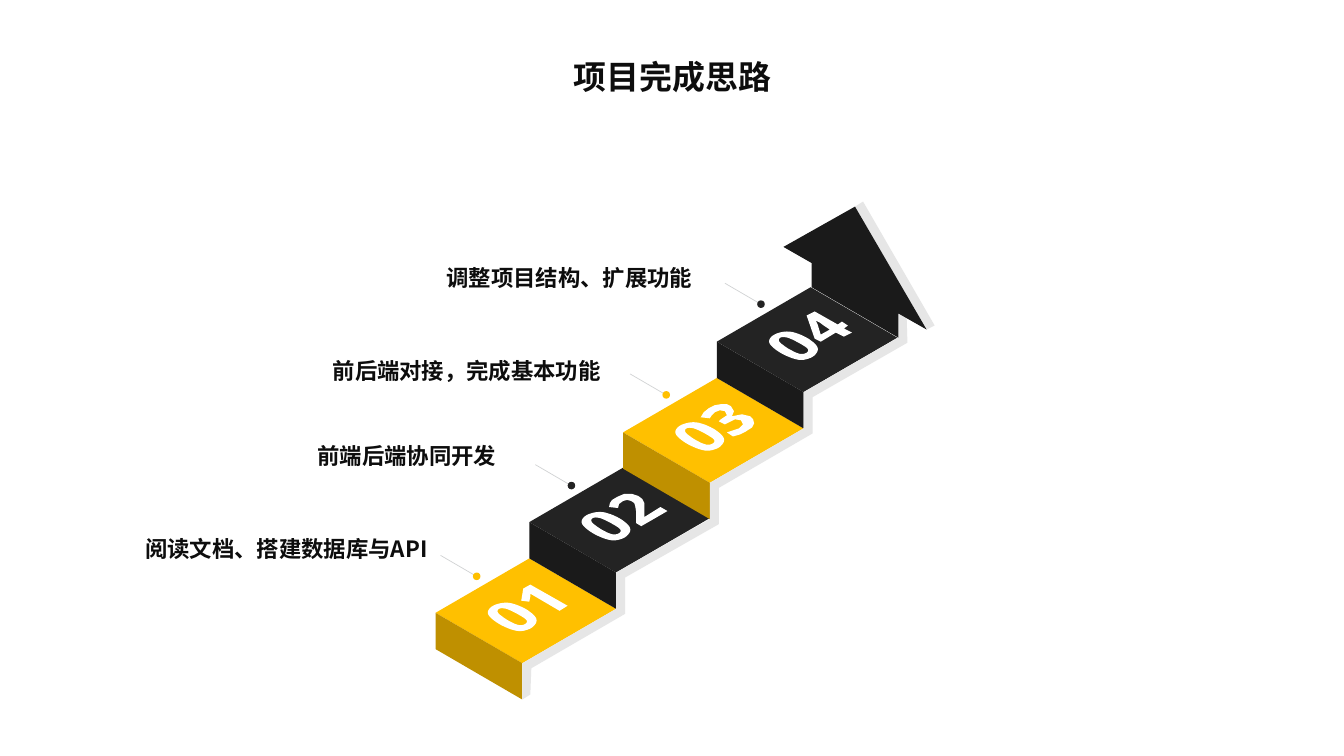
import pptx
import pptx.util
import pptx.dml.color
import pptx.enum.shapes
import pptx.enum.text
import pptx.oxml.ns
import lxml.etree

# Grid: square cells of 0.01 inch, 1333 columns by 750 rows
CELL = pptx.util.Inches(0.01)
COLS, ROWS = 1333, 750
FINE = 10  # outline units per cell

RGB = pptx.dml.color.RGBColor
INK = RGB(0x0D, 0x0D, 0x0D)
GOLD = RGB(0xFF, 0xC0, 0x00)
BRONZE = RGB(0xBF, 0x90, 0x00)
BLACK = RGB(0x23, 0x23, 0x23)
COAL = RGB(0x1A, 0x1A, 0x1A)
SHADE = RGB(0xE6, 0xE6, 0xE6)
RULE = RGB(0xD1, 0xD3, 0xD4)
WHITE = RGB(0xFF, 0xFF, 0xFF)
FONT = "Noto Sans CJK SC"

# Step faces, relative to the left corner of a step
TOP = [(0, 0), (93, -54), (179, -4), (86, 50)]
FRONT = [(0, 0), (86, 50), (86, 86), (0, 36)]
HEAD = [(919, 327), (848, 205), (777, 245), (805, 261), (805, 285),
        (891, 335), (891, 311)]
HEAD_SHADE = [(856, 200), (848, 205), (919, 327), (927, 323)]

# Slanted digits, relative to the corner of the zero
ZERO = [
    [(49, 17), (44, 26), (30, 29), (12, 22), (1, 12), (6, 4), (21, 1), (38, 7)],
    [(31, 23), (38, 22), (39, 18), (30, 12), (19, 7), (12, 7), (11, 11), (20, 18)],
]
DIGITS = [
    [[(80, 4), (72, 9), (43, -8), (43, -5), (42, 0), (34, -1), (36, -13), (43, -17)]],
    [[(86, 0), (60, 15), (55, 12), (55, 1), (54, -5), (53, -8), (50, -10),
      (46, -11), (42, -10), (38, -7), (37, -3), (28, -4), (29, -8), (31, -11),
      (36, -14), (43, -17), (51, -17), (57, -15), (61, -12), (63, -8), (63, 0),
      (63, 6), (79, -4)]],
    [[(75, -5), (78, -2), (79, 2), (77, 6), (71, 10), (65, 13), (58, 15),
      (52, 11), (58, 9), (64, 7), (68, 3), (66, -1), (60, -2), (52, 2), (50, 3),
      (44, 0), (46, -2), (52, -6), (50, -10), (45, -11), (40, -9), (37, -6),
      (35, -3), (26, -4), (29, -9), (34, -13), (40, -16), (46, -17), (52, -17),
      (56, -15), (59, -10), (57, -5), (67, -7)]],
    [[(75, -2), (83, 2), (75, 6), (67, 2), (52, 11), (46, 8), (38, -15),
      (46, -19), (69, -6), (73, -9), (79, -5)],
     [(52, 4), (61, -1), (55, -5), (51, -8), (47, -10), (49, -6)]],
]

# Left, top and wording of each label, from the lowest step up
LABELS = [
    (144, 531, "阅读文档、搭建数据库与API"),
    (315, 438, "前端后端协同开发"),
    (330, 354, "前后端对接，完成基本功能"),
    (443, 262, "调整项目结构、扩展功能"),
]


def move(ring, x, y):
    return [(x + a, y + b) for a, b in ring]


def smooth(ring, parts=6):
    """Round a closed ring with a curve through all its points."""
    out = []
    for i in range(len(ring)):
        a, b, c, d = (ring[(i + k) % len(ring)] for k in (-1, 0, 1, 2))
        for t in (k / parts for k in range(parts)):
            out.append(tuple(
                q + t * (r - p) / 2 + t * t * (p - 2.5 * q + 2 * r - s / 2)
                + t ** 3 * (1.5 * (q - r) + (s - p) / 2)
                for p, q, r, s in zip(a, b, c, d)))
    return out


def paint(shape, color):
    shape.shadow.inherit = False
    shape.fill.solid()
    shape.fill.fore_color.rgb = color
    shape.line.fill.background()


def draw(slide, rings, color):
    rings = [[(x * FINE, y * FINE) for x, y in ring] for ring in rings]
    pen = slide.shapes.build_freeform(*rings[0][0], scale=CELL / FINE)
    for n, ring in enumerate(rings):
        if n:
            pen.move_to(*ring[0])
        pen.add_line_segments(ring[1:], close=True)
    paint(pen.convert_to_shape(), color)


def pointer(slide, x, y, color):
    ends = [n * CELL for n in (x, y, x + 36, y + 21)]
    line = slide.shapes.add_connector(pptx.enum.shapes.MSO_CONNECTOR.STRAIGHT, *ends)
    line.line.color.rgb = RULE
    line.line.width = pptx.util.Pt(0.5)
    lxml.etree.SubElement(line._element.spPr, pptx.oxml.ns.qn("a:effectLst"))
    box = [n * CELL for n in (x + 32, y + 17, 7.5, 7.5)]
    dot = slide.shapes.add_shape(pptx.enum.shapes.MSO_SHAPE.OVAL, *map(int, box))
    paint(dot, color)


def write(slide, box, text, size, frame, para):
    shape = slide.shapes.add_textbox(*[n * CELL for n in box])
    body = shape.text_frame
    line = body.paragraphs[0]
    run = line.add_run()
    run.text = text
    look = {"size": pptx.util.Pt(size), "bold": True, "name": FONT}
    grow = pptx.enum.text.MSO_AUTO_SIZE.SHAPE_TO_FIT_TEXT
    base = {"word_wrap": True, "auto_size": grow}
    for part, style in ((body, {**base, **frame}), (line, para), (run.font, look)):
        for key, value in style.items():
            setattr(part, key, value)
    run.font.color.rgb = INK
    east = lxml.etree.SubElement(run._r.get_or_add_rPr(), pptx.oxml.ns.qn("a:ea"))
    east.set("typeface", FONT)


def main():
    deck = pptx.Presentation()
    deck.slide_width, deck.slide_height = COLS * CELL, ROWS * CELL
    slide = deck.slides.add_slide(deck.slide_layouts[6])

    # Stairs, with the right edge gathered for the shadow
    spots = [(432 + 93 * i, 608 - round(89.7 * i)) for i in range(4)]
    tones = [(GOLD, BRONZE), (BLACK, COAL)] * 2
    edge = []
    for (x, y), (light, dark) in zip(spots, tones):
        draw(slide, [move(TOP, x, y)], light)
        draw(slide, [move(FRONT, x, y)], dark)
        edge += move([(86, 86), (86, 50)], x, y)
    edge += HEAD[-2:]

    # Shadow and arrow head
    rim = move(edge[:1], 8, -5) + move(edge[1:-1], 9, 5) + move(edge[-1:], 8, -5)
    draw(slide, [edge + rim[::-1]], SHADE)
    draw(slide, [HEAD_SHADE], SHADE)
    draw(slide, [HEAD], COAL)

    # Pointers and numbers
    zero = [smooth(ring) for ring in ZERO]
    for i, (x, y) in enumerate(spots):
        pointer(slide, 437 + 94 * i, 551 - 90 * i, tones[i][0])
        for glyph in (DIGITS[i], zero):
            draw(slide, [move(ring, x + 51, y - 11) for ring in glyph], WHITE)

    # Labels and title
    flat = {"margin_" + side: 0 for side in ("left", "top", "right", "bottom")}
    flat["vertical_anchor"] = pptx.enum.text.MSO_ANCHOR.MIDDLE
    for x, y, text in LABELS:
        write(slide, (x, y, 286, 27), text, 16, flat,
              {"space_after": pptx.util.Pt(12)})
    write(slide, (414, 32, 506, 63), "项目完成思路", 23.5, {},
          {"alignment": pptx.enum.text.PP_ALIGN.CENTER, "line_spacing": 1.5})

    deck.save("out.pptx")


if __name__ == "__main__":
    main()
